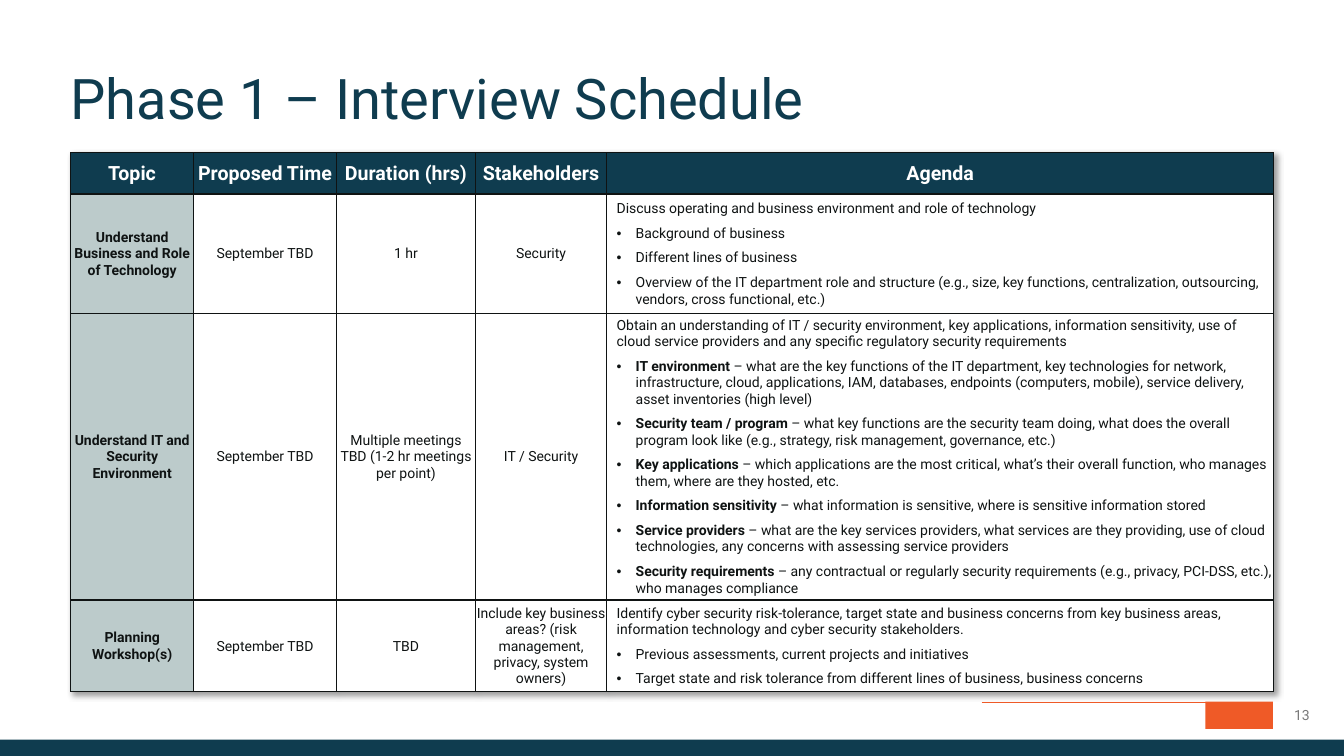
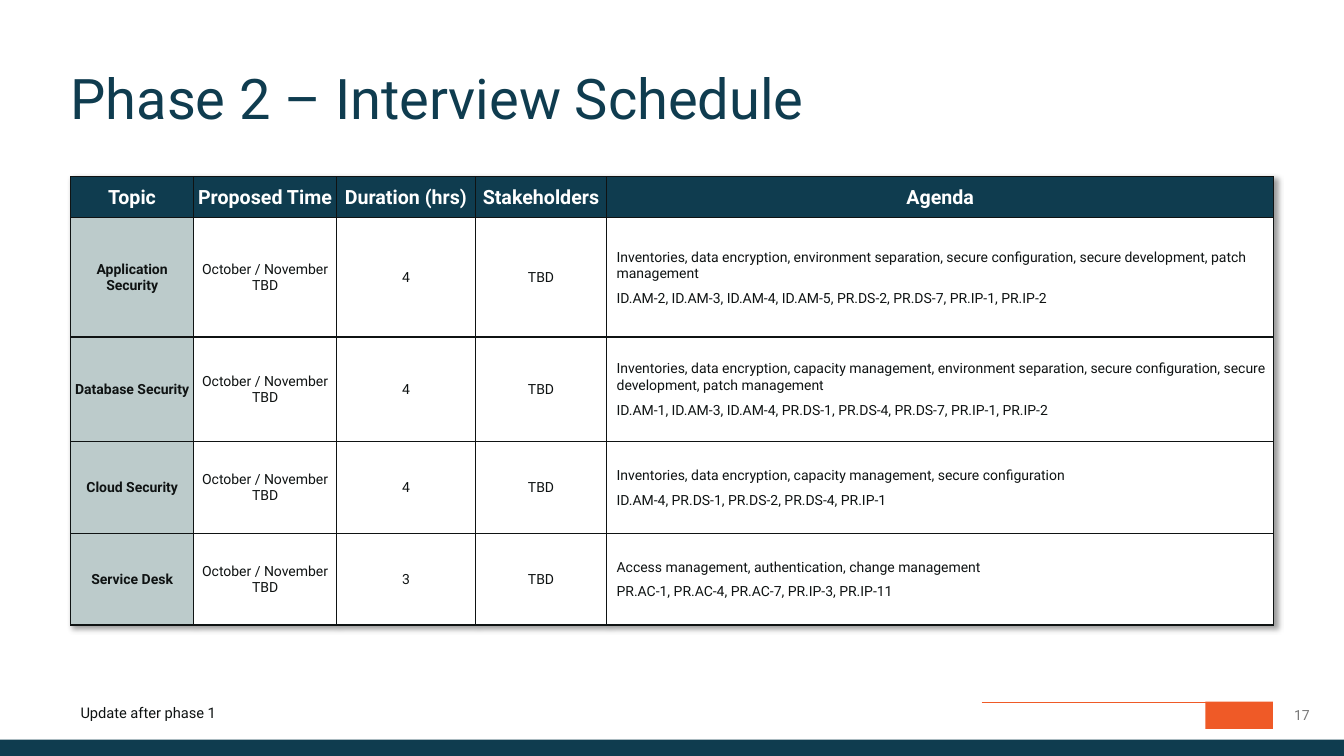
from lxml import etree
from pptx import Presentation
from pptx.dml.color import RGBColor
from pptx.enum.shapes import MSO_CONNECTOR, MSO_SHAPE
from pptx.enum.text import MSO_ANCHOR, PP_ALIGN
from pptx.oxml.ns import qn
from pptx.util import Cm, Pt

# Shared style
FONT = "Roboto"
NAVY = RGBColor(0x0F, 0x3C, 0x4F)
ORANGE = RGBColor(0xEF, 0x5A, 0x27)
SAGE = RGBColor(0xBC, 0xCB, 0xCB)
INK = RGBColor(0x0F, 0x13, 0x13)
GREY = RGBColor(0x79, 0x79, 0x79)
WHITE = RGBColor(0xFF, 0xFF, 0xFF)

LEFT, CENTER = PP_ALIGN.LEFT, PP_ALIGN.CENTER
TOP, MIDDLE = MSO_ANCHOR.TOP, MSO_ANCHOR.MIDDLE
RECTANGLE = MSO_SHAPE.RECTANGLE
STRAIGHT = MSO_CONNECTOR.STRAIGHT

# Shared measures, in centimetres
SLIDE_WIDTH, SLIDE_HEIGHT = 33.87, 19.05
MARGIN = 1.78
CONTENT_WIDTH = 30.3
BAND_HEIGHT = 0.41
FOOTER_TOP, FOOTER_HEIGHT = 17.68, 0.69
COLUMN_WIDTHS = (3.1, 3.6, 3.5, 3.31, 16.81)
CELL_INSET = 0.02
AGENDA_INDENT = 0.23
BULLET_INDENT, BULLET_HANGING = 0.71, 0.48

# Space between agenda paragraphs, in points
AGENDA_SPACING = 6

# Content: an agenda string is plain text, a pair is a bullet (bold lead, rest)
HEADINGS = ("Topic", "Proposed Time", "Duration (hrs)", "Stakeholders", "Agenda")

PHASE_1 = [
    ("Understand Business and Role of Technology", "September TBD", "1 hr", "Security", [
        "Discuss operating and business environment and role of technology",
        ("", "Background of business"),
        ("", "Different lines of business"),
        ("", "Overview of the IT department role and structure (e.g., size, key functions, "
             "centralization, outsourcing, vendors, cross functional, etc.)"),
    ]),
    ("Understand IT and Security Environment", "September TBD",
     "Multiple meetings TBD (1-2 hr meetings per point)", "IT / Security", [
         "Obtain an understanding of IT / security environment, key applications, information "
         "sensitivity, use of cloud service providers and any specific regulatory security "
         "requirements",
         ("IT environment ", "– what are the key functions of the IT department, key "
          "technologies for network, infrastructure, cloud, applications, IAM, databases, "
          "endpoints (computers, mobile), service delivery, asset inventories (high level)"),
         ("Security team / program ", "– what key functions are the security team doing, what "
          "does the overall program look like (e.g., strategy, risk management, governance, "
          "etc.)"),
         ("Key applications ", "– which applications are the most critical, what’s their "
          "overall function, who manages them, where are they hosted, etc."),
         ("Information sensitivity ", "– what information is sensitive, where is sensitive "
          "information stored"),
         ("Service providers ", "– what are the key services providers, what services are they "
          "providing, use of cloud technologies, any concerns with assessing service providers"),
         ("Security requirements ", "– any contractual or regularly security requirements "
          "(e.g., privacy, PCI-DSS, etc.), who manages compliance"),
     ]),
    ("Planning Workshop(s)", "September TBD", "TBD",
     "Include key business areas? (risk management, privacy, system owners)", [
         "Identify cyber security risk-tolerance, target state and business concerns from key "
         "business areas, information technology and cyber security stakeholders.",
         ("", "Previous assessments, current projects and initiatives"),
         ("", "Target state and risk tolerance from different lines of business, business "
              "concerns"),
     ]),
]

AUTUMN = "October / November TBD"
PHASE_2 = [
    ("Application Security", AUTUMN, "4", "TBD", [
        "Inventories, data encryption, environment separation, secure configuration, secure "
        "development, patch management",
        "ID.AM-2, ID.AM-3, ID.AM-4, ID.AM-5, PR.DS-2, PR.DS-7, PR.IP-1, PR.IP-2",
    ]),
    ("Database Security", AUTUMN, "4", "TBD", [
        "Inventories, data encryption, capacity management, environment separation, secure "
        "configuration, secure development, patch management",
        "ID.AM-1, ID.AM-3, ID.AM-4, PR.DS-1, PR.DS-4, PR.DS-7, PR.IP-1, PR.IP-2",
    ]),
    ("Cloud Security", AUTUMN, "4", "TBD", [
        "Inventories, data encryption, capacity management, secure configuration",
        "ID.AM-4, PR.DS-1, PR.DS-2, PR.DS-4, PR.IP-1",
    ]),
    ("Service Desk", AUTUMN, "3", "TBD", [
        "Access management, authentication, change management",
        "PR.AC-1, PR.AC-4, PR.AC-7, PR.IP-3, PR.IP-11",
    ]),
]


# Text
def write_text(frame, text, lead="", size=10, color=INK, bold=False, align=LEFT,
               spacing=0, line_spacing=None, indent=0, hanging=0, bullet=None):
    """Add one paragraph to a text frame, after an optional bold lead."""
    first = not frame.text
    paragraph = frame.paragraphs[0] if first else frame.add_paragraph()
    properties = paragraph._p.get_or_add_pPr()
    properties.set("marL", str(Cm(indent)))
    properties.set("indent", str(-Cm(hanging)))
    if bullet:
        etree.SubElement(properties, qn("a:buFont"), typeface="Arial")
        etree.SubElement(properties, qn("a:buChar"), char=bullet)
    paragraph.alignment = align
    paragraph.space_before = Pt(0 if first else spacing)
    if line_spacing:
        paragraph.line_spacing = line_spacing
    for part, is_bold in ((lead, True), (text, bold)):
        if part:
            run = paragraph.add_run()
            run.text = part
            run.font.name = FONT
            run.font.size = Pt(size)
            run.font.bold = is_bold
            run.font.color.rgb = color


def set_frame(frame, anchor=MIDDLE, horizontal=0):
    frame.word_wrap = True
    frame.vertical_anchor = anchor
    frame.margin_left = frame.margin_right = Cm(horizontal)
    frame.margin_top = frame.margin_bottom = 0


# Shapes
def add_text_box(slide, left, top, width, height, text, inset=0, **text_format):
    box = slide.shapes.add_textbox(Cm(left), Cm(top), Cm(width), Cm(height))
    set_frame(box.text_frame, horizontal=inset)
    write_text(box.text_frame, text, **text_format)


def add_block(slide, left, top, width, height, color):
    shape = slide.shapes.add_shape(RECTANGLE, Cm(left), Cm(top), Cm(width), Cm(height))
    shape.shadow.inherit = False
    shape.fill.solid()
    shape.fill.fore_color.rgb = color
    shape.line.fill.background()


def add_rule(slide, left, right, y, color):
    rule = slide.shapes.add_connector(STRAIGHT, Cm(left), Cm(y), Cm(right), Cm(y))
    rule.line.color.rgb = color
    rule.line.width = Pt(1)
    etree.SubElement(rule._element.spPr, qn("a:effectLst"))


# Table
def add_table_shadow(table):
    effects = etree.Element(qn("a:effectLst"))
    shadow = etree.SubElement(effects, qn("a:outerShdw"), blurRad="50800", dist="38100",
                              dir="2700000", algn="tl", rotWithShape="0")
    shade = etree.SubElement(shadow, qn("a:srgbClr"), val="000000")
    etree.SubElement(shade, qn("a:alpha"), val="40000")
    table._tbl.tblPr.insert(0, effects)


def format_cell(cell, color):
    properties = cell._tc.get_or_add_tcPr()
    for side in ("L", "R", "T", "B"):
        border = etree.SubElement(properties, qn(f"a:ln{side}"), w=str(Pt(1)))
        border_fill = etree.SubElement(border, qn("a:solidFill"))
        etree.SubElement(border_fill, qn("a:srgbClr"), val=str(INK))
    cell.fill.solid()
    cell.fill.fore_color.rgb = color
    cell.vertical_anchor = MIDDLE
    cell.margin_left = cell.margin_right = cell.margin_top = Cm(CELL_INSET)
    cell.margin_bottom = 0


def write_agenda(frame, items):
    for item in items:
        if isinstance(item, tuple):
            lead, text = item
            write_text(frame, text, lead=lead, spacing=AGENDA_SPACING, indent=BULLET_INDENT,
                       hanging=BULLET_HANGING, bullet="•")
        else:
            write_text(frame, item, spacing=AGENDA_SPACING, indent=AGENDA_INDENT)


def add_schedule(slide, top, row_heights, sessions):
    frame = slide.shapes.add_table(len(sessions) + 1, len(HEADINGS), Cm(MARGIN), Cm(top),
                                   Cm(sum(COLUMN_WIDTHS)), Cm(sum(row_heights)))
    table = frame.table
    table.horz_banding = False
    add_table_shadow(table)
    for column, width in zip(table.columns, COLUMN_WIDTHS):
        column.width = Cm(width)
    for row, height in zip(table.rows, row_heights):
        row.height = Cm(height)

    for cell, heading in zip(table.rows[0].cells, HEADINGS):
        format_cell(cell, NAVY)
        write_text(cell.text_frame, heading, size=14, color=WHITE, bold=True, align=CENTER)
    for row_index, (*details, agenda) in enumerate(sessions, start=1):
        *detail_cells, agenda_cell = table.rows[row_index].cells
        for column_index, (cell, text) in enumerate(zip(detail_cells, details)):
            is_topic = column_index == 0
            format_cell(cell, SAGE if is_topic else WHITE)
            write_text(cell.text_frame, text, bold=is_topic, align=CENTER)
        format_cell(agenda_cell, WHITE)
        write_agenda(agenda_cell.text_frame, agenda)


# Slide frame
def add_footer(slide, page_number):
    add_block(slide, 30.38, FOOTER_TOP, 1.7, FOOTER_HEIGHT, ORANGE)
    add_rule(slide, 24.74, 32.05, 17.7, ORANGE)
    add_block(slide, 0, SLIDE_HEIGHT - BAND_HEIGHT, SLIDE_WIDTH, BAND_HEIGHT, NAVY)
    add_text_box(slide, 32.11, FOOTER_TOP, 1.4, FOOTER_HEIGHT, page_number, color=GREY,
                 align=CENTER)


def add_titled_slide(presentation, title, page_number):
    slide = presentation.slides.add_slide(presentation.slide_layouts.get_by_name("Title Only"))
    placeholder = slide.shapes.title
    placeholder.left, placeholder.top = Cm(MARGIN), Cm(MARGIN)
    placeholder.width, placeholder.height = Cm(CONTENT_WIDTH), Cm(1.55)
    set_frame(placeholder.text_frame, anchor=TOP)
    write_text(placeholder.text_frame, title, size=40, color=NAVY, line_spacing=0.9)
    add_footer(slide, page_number)
    return slide


def main():
    presentation = Presentation()
    presentation.slide_width = Cm(SLIDE_WIDTH)
    presentation.slide_height = Cm(SLIDE_HEIGHT)

    # Phase 1
    slide = add_titled_slide(presentation, "Phase 1 – Interview Schedule", "13")
    add_schedule(slide, 3.85, (1.04, 3, 7, 2.31), PHASE_1)

    # Phase 2
    slide = add_titled_slide(presentation, "Phase 2 – Interview Schedule", "17")
    add_schedule(slide, 4.45, (1.04, 3, 2.64, 2.31, 2.31), PHASE_2)
    add_text_box(slide, MARGIN, 17.6, 14.05, 0.74, "Update after phase 1", inset=0.25,
                 size=10.5)

    presentation.save("out.pptx")


if __name__ == "__main__":
    main()
